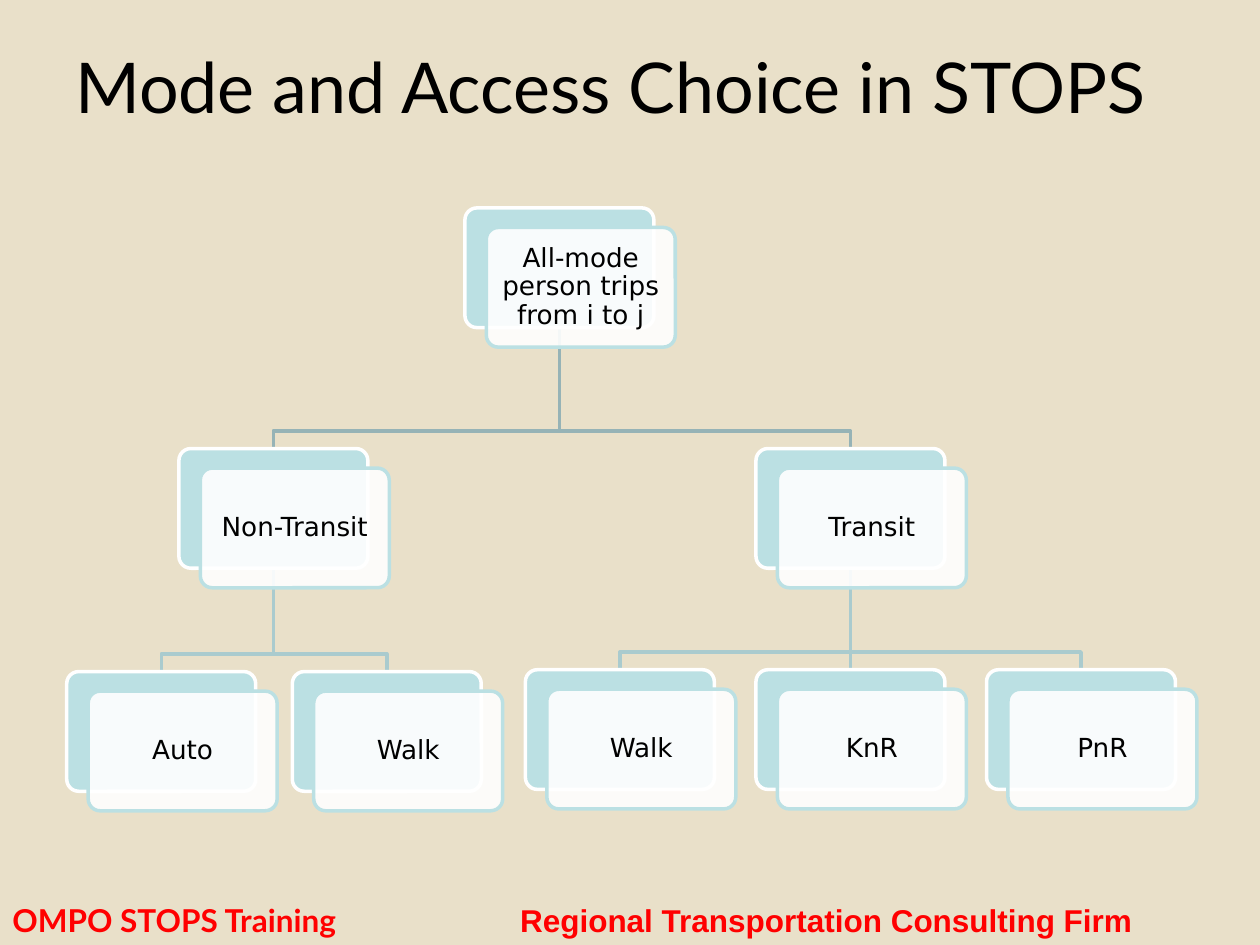
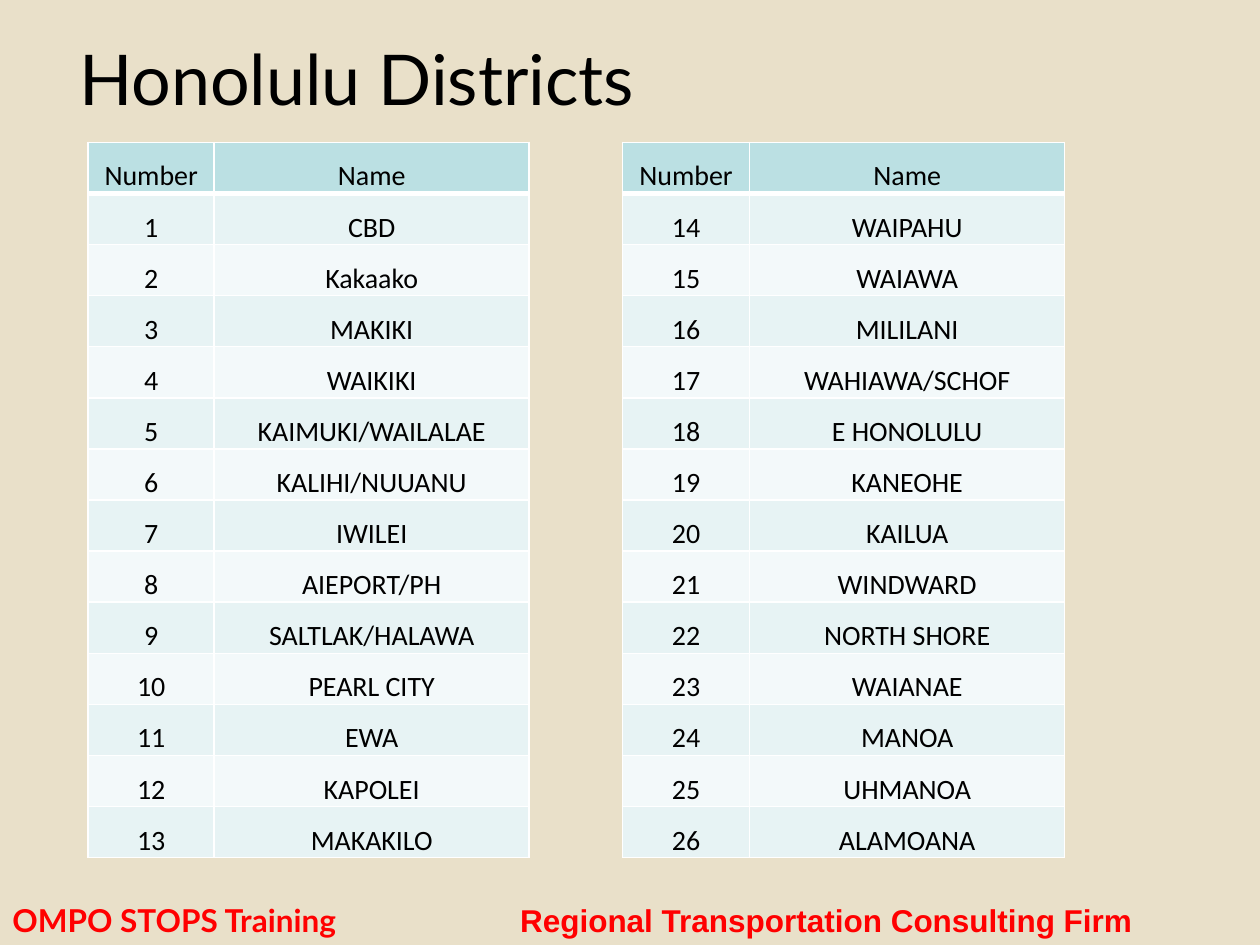
from dataclasses import dataclass
from lxml.etree import SubElement as Sub
from pptx import Presentation
from pptx.dml.color import RGBColor as RGB
from pptx.enum.shapes import MSO_CONNECTOR as CONN, MSO_SHAPE as SHAPE
from pptx.enum.text import MSO_ANCHOR as ANCHOR, PP_ALIGN as ALIGN
from pptx.oxml.ns import qn
from pptx.util import Inches, Pt


@dataclass(frozen=True)
class Theme:
    # Colours
    sand: str = "E9E0C9"
    ink: str = "000000"
    white: str = "FFFFFF"
    aqua: str = "BBE0E3"
    bands: tuple = ("E7F3F4", "F3F9FA")
    trunk: str = "96B3B6"
    branch: str = "AACBCE"
    red: str = "FF0000"
    # Fonts and type sizes
    head_font: str = "Lato"
    foot_font: str = "Arial"
    node_font: str = "DejaVu Sans"
    table_font: str = "Calibri"
    title_size: int = 40
    foot_size: int = 18
    table_size: int = 16
    node_size: int = 15


COLS, ROWS = 100, 75            # grid laid over the slide
NODE_W, NODE_H = 15, 9.5        # tree boxes, in grid cells
SHIFT_X, SHIFT_Y = 1.7, 1.55    # front card against back card
BEND = 1.4                      # height of a branch above its child


def put_text(tf, text, *, size, font, color="000000", bold=False, align=ALIGN.LEFT,
             anchor=ANCHOR.TOP, inset=None, spacing=None, tab=None):
    """Fill a frame with one paragraph; text is a string or (text, font) pairs."""
    tf.word_wrap = True
    tf.vertical_anchor = anchor
    if inset is not None:
        tf.margin_left = tf.margin_right = tf.margin_top = tf.margin_bottom = Inches(inset)
    p = tf.paragraphs[0]
    if tab is not None:
        tabs = Sub(p._p.get_or_add_pPr(), qn("a:tabLst"))
        Sub(tabs, qn("a:tab"), pos=str(tab), algn="l")
    p.alignment = align
    if spacing:
        p.line_spacing = spacing
    for words, face in [(text, font)] if isinstance(text, str) else text:
        r = p.add_run()
        r.text = words
        r.font.name, r.font.size, r.font.bold = face, Pt(size), bold
        r.font.color.rgb = RGB.from_string(color)


class Deck:
    def __init__(self, theme):
        self.t = theme
        self.prs = Presentation()
        self.prs.slide_width, self.prs.slide_height = Inches(10), Inches(7.5)
        self.s = None

    def x(self, cols):
        return round(self.prs.slide_width * cols / COLS)

    def y(self, rows):
        return round(self.prs.slide_height * rows / ROWS)

    def box(self, x, y, w, h):
        return self.x(x), self.y(y), self.x(w), self.y(h)

    def slide(self, title, x, y):
        t = self.t
        self.s = self.prs.slides.add_slide(self.prs.slide_layouts[6])
        fill = self.s.background.fill
        fill.solid()
        fill.fore_color.rgb = RGB.from_string(t.sand)
        self.text(title, x, y, 90, 9, size=t.title_size, font=t.head_font)
        # Footer: the second part starts at a tab stop
        self.text([("OMPO STOPS Training\t", t.head_font),
                   ("Regional Transportation Consulting Firm", t.foot_font)],
                  0, 71, 100, 4, size=t.foot_size, font=t.head_font,
                  color=t.red, bold=True, tab=self.x(40.3))

    def text(self, text, x, y, w, h, **fmt):
        sp = self.s.shapes.add_textbox(*self.box(x, y, w, h))
        put_text(sp.text_frame, text, **fmt)

    def card(self, x, y, fill, line, alpha=None):
        sp = self.s.shapes.add_shape(SHAPE.ROUNDED_RECTANGLE, *self.box(x, y, NODE_W, NODE_H))
        sp.adjustments[0] = 0.1
        sp.shadow.inherit = False
        sp.fill.solid()
        sp.fill.fore_color.rgb = RGB.from_string(fill)
        if alpha:
            clr = sp._element.spPr.find(qn("a:solidFill"))[0]
            Sub(clr, qn("a:alpha"), val=str(alpha * 1000))
        sp.line.color.rgb = RGB.from_string(line)
        sp.line.width = Pt(2)
        return sp

    def node(self, label, x, y):
        t = self.t
        self.card(x, y, t.aqua, t.white)
        front = self.card(x + SHIFT_X, y + SHIFT_Y, t.white, t.aqua, alpha=90)
        put_text(front.text_frame, label, size=t.node_size, font=t.node_font, color=t.ink,
                 align=ALIGN.CENTER, anchor=ANCHOR.MIDDLE, inset=0.06, spacing=0.9)

    def branch(self, parent, child, color):
        """Elbow from the foot of the parent's back card to the top of the child's."""
        x1, y1 = self.x(parent[0] + NODE_W / 2), self.y(parent[1] + NODE_H)
        x2, y2 = self.x(child[0] + NODE_W / 2), self.y(child[1])
        if x1 == x2:
            sp = self.s.shapes.add_connector(CONN.STRAIGHT, x1, y1, x2, y2)
            Sub(sp._element.spPr, qn("a:effectLst"))
        else:
            bend = self.y(child[1] - BEND)
            fb = self.s.shapes.build_freeform(x1, y1)
            fb.add_line_segments([(x1, bend), (x2, bend), (x2, y2)], close=False)
            sp = fb.convert_to_shape()
            sp.fill.background()
            sp.shadow.inherit = False
        sp.line.color.rgb = RGB.from_string(color)
        sp.line.width = Pt(2)

    def cell(self, cell, text, fill, top=1, bottom=1):
        t = self.t
        tcPr = cell._tc.get_or_add_tcPr()
        for side, width in zip("LRTB", (1, 1, top, bottom)):
            ln = Sub(tcPr, qn("a:ln" + side), w=str(Pt(width)))
            Sub(Sub(ln, qn("a:solidFill")), qn("a:srgbClr"), val=t.white)
        cell.fill.solid()
        cell.fill.fore_color.rgb = RGB.from_string(fill)
        put_text(cell.text_frame, text, size=t.table_size, font=t.table_font,
                 color=t.ink, align=ALIGN.CENTER)
        cell.vertical_anchor = ANCHOR.BOTTOM
        cell.margin_left = cell.margin_right = cell.margin_top = Inches(0.01)
        cell.margin_bottom = 0

    def table(self, header, rows, x, y, widths, h):
        n = len(rows) + 1
        tbl = self.s.shapes.add_table(n, len(widths), *self.box(x, y, sum(widths), h)).table
        tbl.first_row = tbl.horz_banding = False
        for col, w in zip(tbl.columns, widths):
            col.width = self.x(w)
        for row in tbl.rows:
            row.height = self.y(h / n)
        for i, values in enumerate([header, *rows]):
            fill = self.t.bands[(i - 1) % 2] if i else self.t.aqua
            for j, value in enumerate(values):
                self.cell(tbl.cell(i, j), value, fill,
                          top=3 if i == 1 else 1, bottom=3 if i == 0 else 1)


# Tree: key -> label, column, row, parent key
CHOICES = {
    "all": ("All-mode person trips from i to j", 36.9, 16.5, None),
    "non": ("Non-Transit", 14.2, 35.6, "all"),
    "auto": ("Auto", 5.3, 53.3, "non"),
    "walk": ("Walk", 23.2, 53.3, "non"),
    "transit": ("Transit", 60, 35.6, "all"),
    "walk access": ("Walk", 41.7, 53.15, "transit"),
    "kiss": ("KnR", 60, 53.15, "transit"),
    "park": ("PnR", 78.3, 53.15, "transit"),
}

DISTRICTS = [
    "CBD", "Kakaako", "MAKIKI", "WAIKIKI", "KAIMUKI/WAILALAE", "KALIHI/NUUANU", "IWILEI",
    "AIEPORT/PH", "SALTLAK/HALAWA", "PEARL CITY", "EWA", "KAPOLEI", "MAKAKILO",
    "WAIPAHU", "WAIAWA", "MILILANI", "WAHIAWA/SCHOF", "E HONOLULU", "KANEOHE", "KAILUA",
    "WINDWARD", "NORTH SHORE", "WAIANAE", "MANOA", "UHMANOA", "ALAMOANA",
]


def choice_slide(deck):
    deck.slide("Mode and Access Choice in STOPS", 5, 3)
    # Branches lie behind the boxes
    for _, x, y, parent in CHOICES.values():
        if parent:
            color = deck.t.trunk if parent == "all" else deck.t.branch
            deck.branch(CHOICES[parent][1:3], (x, y), color)
    for label, x, y, _ in CHOICES.values():
        deck.node(label, x, y)


def district_slide(deck):
    deck.slide("Honolulu Districts", 5.3, 2.3)
    numbered = [(str(n), name) for n, name in enumerate(DISTRICTS, 1)]
    half = len(numbered) // 2
    for rows, x, number_w in ((numbered[:half], 7, 10), (numbered[half:], 49.4, 10.1)):
        deck.table(("Number", "Name"), rows, x, 11.3, (number_w, 25), 56.8)


def main():
    deck = Deck(Theme())
    choice_slide(deck)
    district_slide(deck)
    deck.prs.save("out.pptx")


if __name__ == "__main__":
    main()
